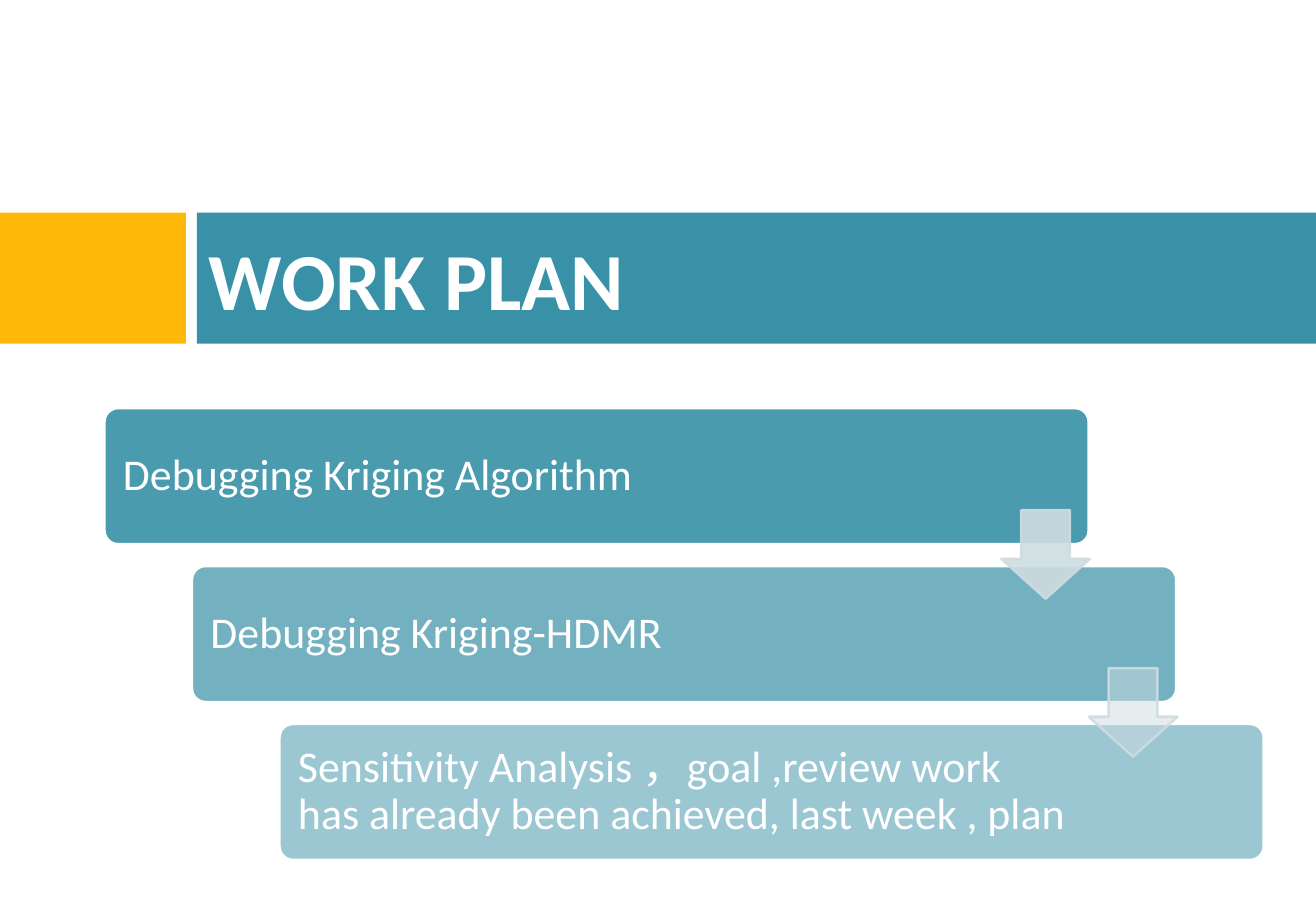
from lxml import etree
from pptx import Presentation
from pptx.dml.color import RGBColor
from pptx.enum.shapes import MSO_SHAPE
from pptx.enum.text import MSO_ANCHOR, PP_ALIGN
from pptx.oxml.ns import qn
from pptx.util import Pt

RECT = MSO_SHAPE.RECTANGLE
ROUNDED = MSO_SHAPE.ROUNDED_RECTANGLE
DOWN_ARROW = MSO_SHAPE.DOWN_ARROW
MIDDLE = MSO_ANCHOR.MIDDLE
LEFT = PP_ALIGN.LEFT

PX = 9144
FONT = "Calibri"
COLORS = {
    "white": "FFFFFF",
    "amber": "FEB80A",
    "teal": "3891A7",
    "arrow": "CEDCE1",
}
STEPS = [
    ("Debugging Kriging Algorithm", 90),
    ("Debugging Kriging-HDMR", 70),
    ("Sensitivity Analysis ，goal ,review work has already been achieved, last week , plan", 50),
]
ARROW_OPACITIES = [90, 50]
STEP_DX, STEP_DY = 72, 130


def px(n):
    return n * PX


def paint(fill, color, opacity=100):
    fill.solid()
    fill.fore_color.rgb = RGBColor.from_string(COLORS[color])
    if opacity < 100:
        clr = fill._xPr.find(qn("a:solidFill"))[0]
        etree.SubElement(clr, qn("a:alpha")).set("val", str(opacity * 1000))


def add_block(s, kind, box, color, opacity=100, line=None, line_opacity=100):
    sp = s.shapes.add_shape(kind, *map(px, box))
    sp.shadow.inherit = False
    paint(sp.fill, color, opacity)
    if line:
        sp.line.width = Pt(1.5)
        paint(sp.line.fill, line, line_opacity)
    else:
        sp.line.fill.background()
    return sp


def write(sp, text, size, insets, bold=False):
    tf = sp.text_frame
    tf.word_wrap = True
    tf.vertical_anchor = MIDDLE
    tf.margin_left, tf.margin_top, tf.margin_right, tf.margin_bottom = map(px, insets)
    tf.text = text
    p = tf.paragraphs[0]
    p.alignment = LEFT
    r = p.runs[0]
    r.font.name = FONT
    r.font.size = Pt(size)
    r.font.bold = bold
    r.font.color.rgb = RGBColor.from_string(COLORS["white"])
    return p


def add_title(s):
    add_block(s, RECT, (0, 175, 153, 108), "amber")
    band = add_block(s, RECT, (162, 175, 921, 108), "teal")
    write(band, "WORK PLAN", 48, (10, 5, 28, 5), bold=True)


def add_step(s, i, text, opacity):
    box = (86 + i * STEP_DX, 336 + i * STEP_DY, 810, 112)
    sp = add_block(s, ROUNDED, box, "teal", opacity, "white")
    sp.adjustments[0] = 0.1
    p = write(sp, text, 26, (12, 11, 159, 11))
    p.line_spacing = 0.9


def add_arrow(s, i, opacity):
    box = (824 + i * STEP_DX, 420 + i * STEP_DY, 73, 73)
    sp = add_block(s, DOWN_ARROW, box, "arrow", opacity, "arrow", 90)
    sp.adjustments[0] = 0.55
    sp.adjustments[1] = 0.45


def main():
    prs = Presentation()
    prs.slide_width, prs.slide_height = px(1083), px(750)
    s = prs.slides.add_slide(prs.slide_layouts[6])
    add_title(s)
    for i, (text, opacity) in enumerate(STEPS):
        add_step(s, i, text, opacity)
    for i, opacity in enumerate(ARROW_OPACITIES):
        add_arrow(s, i, opacity)
    prs.save("out.pptx")


if __name__ == "__main__":
    main()
